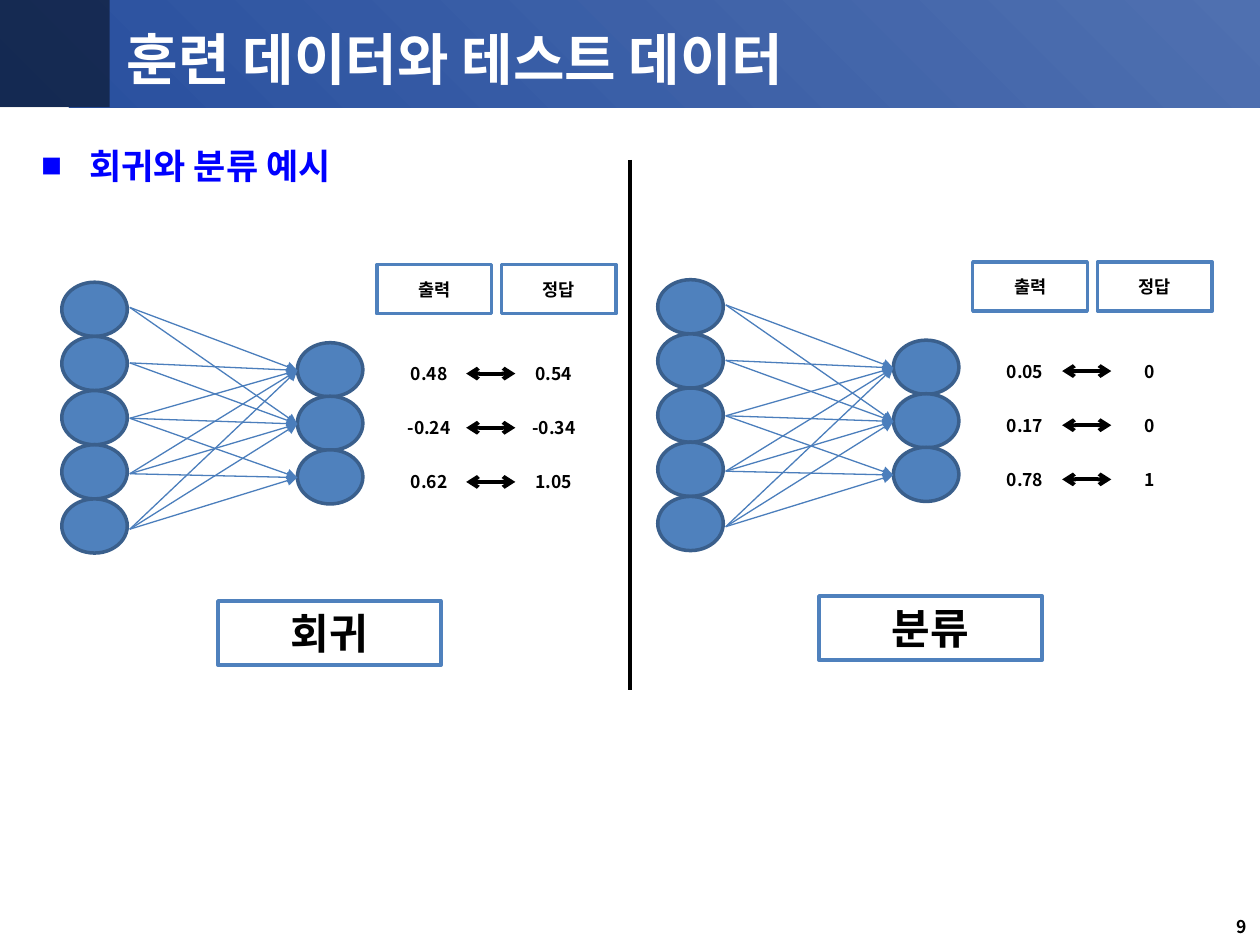
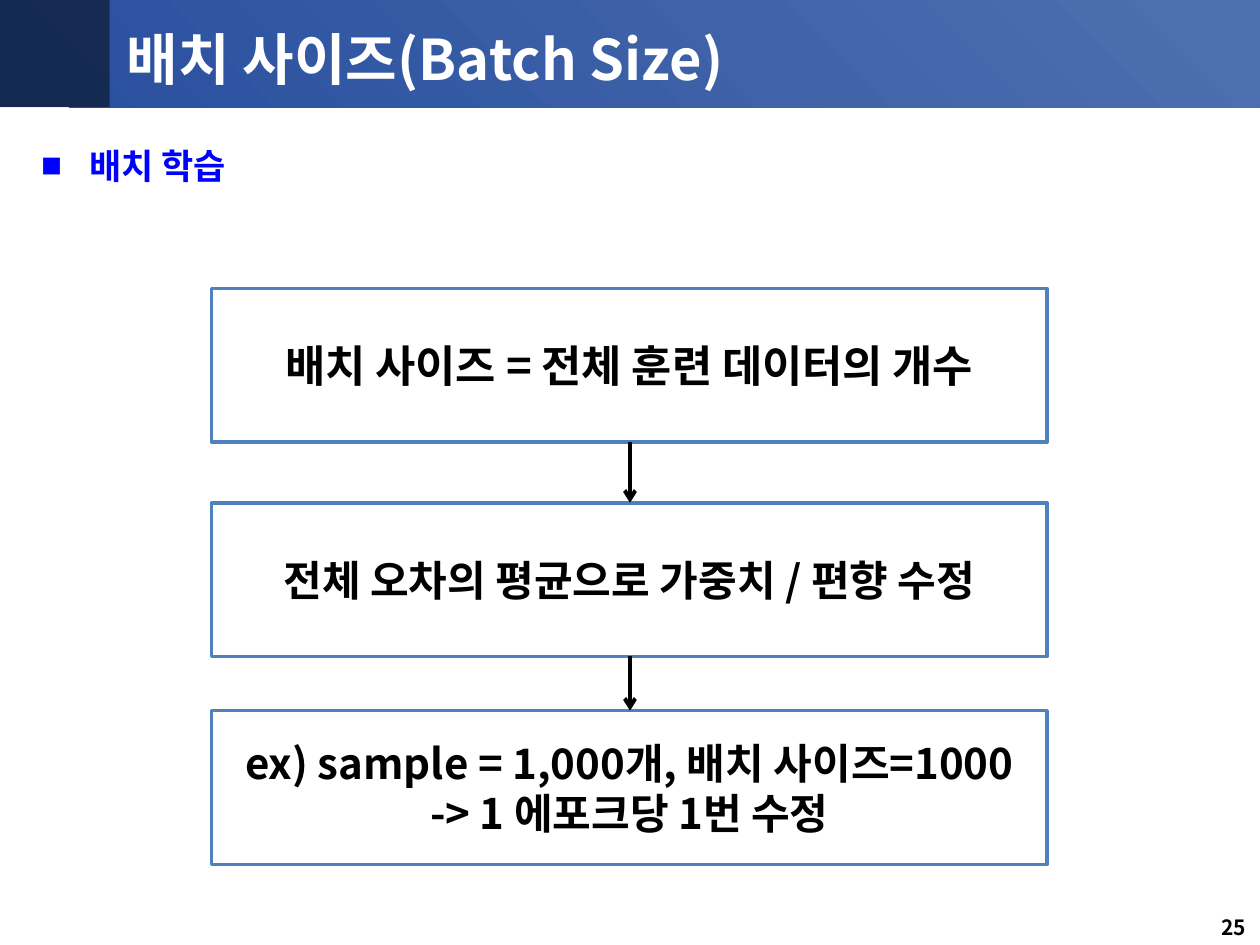
"""Build two slides on regression versus classification and on batch size."""
from dataclasses import dataclass

from lxml.etree import SubElement
from pptx import Presentation
from pptx.dml.color import RGBColor
from pptx.enum.shapes import MSO_CONNECTOR, MSO_SHAPE
from pptx.enum.text import MSO_ANCHOR, PP_ALIGN
from pptx.oxml.ns import qn
from pptx.shapes.autoshape import Shape
from pptx.slide import Slide
from pptx.text.text import _Paragraph
from pptx.util import Inches, Pt

RECT, OVAL = MSO_SHAPE.RECTANGLE, MSO_SHAPE.OVAL
STRAIGHT = MSO_CONNECTOR.STRAIGHT
TOP, MIDDLE = MSO_ANCHOR.TOP, MSO_ANCHOR.MIDDLE
LEFT, CENTER, RIGHT = PP_ALIGN.LEFT, PP_ALIGN.CENTER, PP_ALIGN.RIGHT

FONT = "Noto Sans CJK KR"
COLORS = {
    "band_start": "284F9E",
    "band_end": "4F70B0",
    "black": "000000",
    "white": "FFFFFF",
    "heading": "0000FF",
    "neuron": "4F81BD",
    "neuron_edge": "3A5F8C",
    "weight": "4B7EBC",
}
NEURON_W, NEURON_H = 0.52, 0.43
CELL_W, CELL_H = 0.91, 0.39
COLUMN_STEP, ROW_STEP = 0.99, 0.43
LINKED_OUTPUTS = [(0, 1), (0, 1), (0, 1, 2), (0, 1, 2), (0, 1, 2)]


@dataclass(frozen=True)
class Box:
    """A rectangle in inches."""
    left: float
    top: float
    width: float
    height: float


@dataclass(frozen=True)
class Task:
    """A network with its outputs, expected answers and label."""
    left: float
    top: float
    rows: list[tuple[str, str]]
    label: str
    label_box: Box


@dataclass(frozen=True)
class Step:
    """One stage of the batch learning flow."""
    top: float
    lines: list[str]
    size: int


TASKS = [
    Task(0.49, 2.24, [("0.48", "0.54"), ("-0.24", "-0.34"), ("0.62", "1.05")],
         "회귀", Box(1.73, 4.77, 1.77, 0.51)),
    Task(5.22, 2.22, [("0.05", "0"), ("0.17", "0"), ("0.78", "1")],
         "분류", Box(6.5, 4.73, 1.77, 0.51)),
]
STEPS = [
    Step(2.29, ["배치 사이즈 = 전체 훈련 데이터의 개수"], 25),
    Step(3.99, ["전체 오차의 평균으로 가중치 / 편향 수정"], 24),
    Step(5.64, ["ex) sample = 1,000개, 배치 사이즈=1000", "-> 1 에포크당 1번 수정"], 24),
]
STEP_LEFT, STEP_W, STEP_H = 1.68, 6.63, 1.22


def rgb(name: str) -> RGBColor:
    """Return a palette colour."""
    return RGBColor.from_string(COLORS[name])


def style(paragraph: _Paragraph, size: float, color: str, align: PP_ALIGN) -> None:
    """Set the bold, unkerned deck font on a paragraph."""
    paragraph.alignment = align
    font = paragraph.font
    font.size, font.bold, font.name = Pt(size), True, FONT
    font.color.rgb = rgb(color)
    properties = paragraph._p.pPr.find(qn("a:defRPr"))
    properties.set("kern", "0")
    SubElement(properties, qn("a:ea"), typeface=FONT)


def write(shape: Shape, lines: list[str], size: float, color: str = "black",
          align: PP_ALIGN = CENTER) -> None:
    """Fill a shape with one vertically centred paragraph per line."""
    frame = shape.text_frame
    frame.word_wrap = True
    frame.vertical_anchor = MIDDLE
    frame.text = "\n".join(lines)
    for paragraph in frame.paragraphs:
        style(paragraph, size, color, align)


def add_textbox(slide: Slide, box: Box) -> Shape:
    """Add an empty text box."""
    return slide.shapes.add_textbox(Inches(box.left), Inches(box.top),
                                    Inches(box.width), Inches(box.height))


def add_block(slide: Slide, kind: MSO_SHAPE, box: Box, fill: str,
              edge: str | None = None) -> Shape:
    """Add a flat filled shape, outlined when an edge colour is given."""
    block = slide.shapes.add_shape(kind, Inches(box.left), Inches(box.top),
                                   Inches(box.width), Inches(box.height))
    block.shadow.inherit = False
    block.fill.solid()
    block.fill.fore_color.rgb = rgb(fill)
    if edge:
        block.line.color.rgb = rgb(edge)
        block.line.width = Pt(2)
    else:
        block.line.fill.background()
    return block


def add_line(slide: Slide, start: tuple[float, float], end: tuple[float, float],
             color: str = "black", width: float = 2.25,
             head: str | None = None, tail: str | None = None) -> None:
    """Add a straight line with optional arrowheads."""
    line = slide.shapes.add_connector(STRAIGHT, Inches(start[0]), Inches(start[1]),
                                      Inches(end[0]), Inches(end[1]))
    line.line.color.rgb = rgb(color)
    line.line.width = Pt(width)
    properties = line.element.spPr
    stroke = properties.find(qn("a:ln"))
    for tag, arrow in (("a:headEnd", head), ("a:tailEnd", tail)):
        if arrow:
            SubElement(stroke, qn(tag), type=arrow)
    SubElement(properties, qn("a:effectLst"))


def add_heading(slide: Slide, text: str) -> None:
    """Add the square-bulleted heading."""
    frame = add_textbox(slide, Box(0.23, 1.09, 9.41, 5.94)).text_frame
    frame.word_wrap = True
    frame.vertical_anchor = TOP
    frame.margin_top = Inches(0.06)
    frame.text = text
    paragraph = frame.paragraphs[0]
    properties = paragraph._p.get_or_add_pPr()
    properties.set("marL", str(Inches(0.38)))
    properties.set("indent", str(-Inches(0.38)))
    SubElement(properties, qn("a:buSzPct"), val="60000")
    SubElement(properties, qn("a:buFont"), typeface=FONT)
    SubElement(properties, qn("a:buChar"), char="■")
    style(paragraph, 20, "heading", LEFT)


def add_page(deck: Presentation, title: str, heading: str, number: str,
             number_size: int) -> Slide:
    """Add a slide with the band, title, heading and page number."""
    slide = deck.slides.add_slide(deck.slide_layouts[6])
    band = add_block(slide, RECT, Box(0, -0.01, 10, 0.86), "band_start")
    band.fill.gradient()
    band.fill.gradient_angle = 45
    for stop, color in zip(band.fill.gradient_stops, ("band_start", "band_end")):
        stop.color.rgb = rgb(color)
    corner = add_block(slide, RECT, Box(0, -0.01, 0.87, 0.86), "black")
    shade = corner.element.spPr.find(qn("a:solidFill")).find(qn("a:srgbClr"))
    SubElement(shade, qn("a:alpha"), val="48000")
    write(add_textbox(slide, Box(0.91, 0.18, 8.83, 0.56)), [title], 32, "white", LEFT)
    add_heading(slide, heading)
    write(add_textbox(slide, Box(7.66, 7.21, 2.33, 0.29)), [number], number_size,
          align=RIGHT)
    return slide


def add_network(slide: Slide, left: float, top: float) -> None:
    """Draw five inputs, three outputs and the weights between them."""
    output_left, output_top, output_step = left + 1.87, top + 0.48, 0.425
    inputs = [(left, top + i * ROW_STEP) for i in range(len(LINKED_OUTPUTS))]
    outputs = [(output_left, output_top + i * output_step) for i in range(3)]
    for x, y in inputs + outputs:
        add_block(slide, OVAL, Box(x, y, NEURON_W, NEURON_H), "neuron", "neuron_edge")
    for i, linked in enumerate(LINKED_OUTPUTS):
        for j in linked:
            add_line(slide, (left + 0.54, top + 0.2 + i * 0.44),
                     (output_left, output_top + 0.22 + j * output_step),
                     "weight", 0.75, tail="triangle")


def add_task(slide: Slide, task: Task) -> None:
    """Draw a network beside its outputs and answers."""
    add_network(slide, task.left, task.top)
    for column, name in enumerate(("출력", "정답")):
        header = Box(task.left + 2.5 + column * COLUMN_STEP, task.top - 0.14, CELL_W, CELL_H)
        write(add_block(slide, RECT, header, "white", "neuron"), [name], 10)
    for i, values in enumerate(task.rows):
        top = task.top + 0.53 + i * ROW_STEP
        for column, value in enumerate(values):
            cell = Box(task.left + 2.46 + column * COLUMN_STEP, top, CELL_W, CELL_H)
            write(add_block(slide, RECT, cell, "white"), [value], 10)
        middle = top + CELL_H / 2
        add_line(slide, (task.left + 3.21, middle), (task.left + 3.6, middle),
                 head="arrow", tail="arrow")
    write(add_block(slide, RECT, task.label_box, "white", "neuron"), [task.label], 24)


def build_examples(deck: Presentation) -> None:
    """Build the regression and classification slide."""
    slide = add_page(deck, "훈련 데이터와 테스트 데이터", "회귀와 분류 예시", "9", 10)
    for task in TASKS:
        add_task(slide, task)
    add_line(slide, (5, 1.27), (5, 5.48))


def build_batch(deck: Presentation) -> None:
    """Build the batch learning slide."""
    slide = add_page(deck, "배치 사이즈(Batch Size)", "배치 학습", "25", 12)
    for step in STEPS:
        box = Box(STEP_LEFT, step.top, STEP_W, STEP_H)
        write(add_block(slide, RECT, box, "white", "neuron"), step.lines, step.size)
    for step, following in zip(STEPS, STEPS[1:]):
        add_line(slide, (5, step.top + STEP_H), (5, following.top), tail="arrow")


def main() -> None:
    """Build and save the deck."""
    deck = Presentation()
    deck.slide_width, deck.slide_height = Inches(10), Inches(7.5)
    build_examples(deck)
    build_batch(deck)
    deck.save("out.pptx")


if __name__ == "__main__":
    main()
